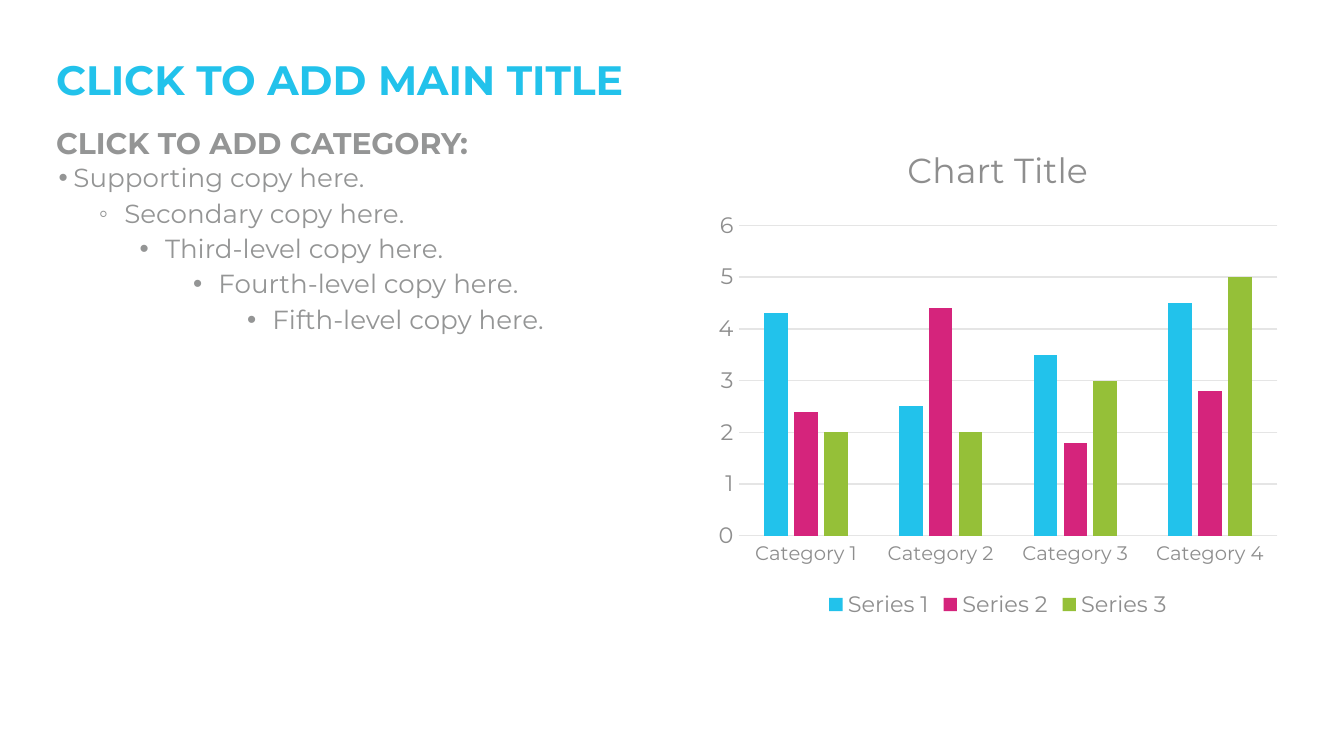
from lxml.etree import SubElement
from pptx import Presentation
from pptx.chart.data import CategoryChartData
from pptx.dml.color import RGBColor
from pptx.enum.chart import XL_CHART_TYPE, XL_LEGEND_POSITION, XL_TICK_MARK
from pptx.enum.text import MSO_ANCHOR
from pptx.oxml.ns import qn
from pptx.util import Cm, Pt

CYAN = RGBColor(0x22, 0xC2, 0xEB)
MAGENTA = RGBColor(0xD5, 0x24, 0x7C)
GREEN = RGBColor(0x95, 0xC0, 0x38)
COPY_GREY = RGBColor(0x94, 0x95, 0x95)
LABEL_GREY = RGBColor(0x8E, 0x8E, 0x8E)
GRID_GREY = RGBColor(0xE5, 0xE5, 0xE5)
FONT = "Montserrat"

COPY_LEVELS = [
    ("Supporting copy here.", "•", 0.28, -0.28),
    ("Secondary copy here.", "◦", 1.24, -0.48),
    ("Third-level copy here.", "•", 2.01, -0.48),
    ("Fourth-level copy here.", "•", 3.02, -0.48),
    ("Fifth-level copy here.", "•", 4.04, -0.48),
]
CATEGORIES = ["Category 1", "Category 2", "Category 3", "Category 4"]
SERIES = [
    ("Series 1", (4.3, 2.5, 3.5, 4.5), CYAN),
    ("Series 2", (2.4, 4.4, 1.8, 2.8), MAGENTA),
    ("Series 3", (2, 2, 3, 5), GREEN),
]


def apply_format(target, values):
    """Set each named attribute of the target."""
    for name, value in values.items():
        setattr(target, name, value)


def style_font(font, size, color, bold=False):
    """Give a font the slide's typeface with a size, colour and weight."""
    apply_format(font, {"name": FONT, "size": Pt(size), "bold": bold})
    font.color.rgb = color


def style_line(line, color):
    """Draw a thin line in the given colour."""
    line.color.rgb = color
    line.width = Pt(0.75)


def add_text_frame(slide, box):
    """Add a wrapping, top-anchored text box and return its frame."""
    frame = slide.shapes.add_textbox(*map(Cm, box)).text_frame
    apply_format(frame, {"word_wrap": True, "vertical_anchor": MSO_ANCHOR.TOP})
    return frame


def write_paragraph(paragraph, text, size, color, bold=False):
    """Fill a paragraph with one styled run."""
    paragraph.line_spacing = 0.9
    run = paragraph.add_run()
    run.text = text
    style_font(run.font, size, color, bold)


def add_bullet(paragraph, mark, margin, indent):
    """Give a paragraph a coloured bullet and a hanging indent."""
    properties = paragraph._p.get_or_add_pPr()
    properties.set("marL", str(Cm(margin)))
    properties.set("indent", str(Cm(indent)))
    bullet_color = SubElement(properties, qn("a:buClr"))
    SubElement(bullet_color, qn("a:srgbClr"), val=str(COPY_GREY))
    SubElement(properties, qn("a:buFont"), typeface="Arial")
    SubElement(properties, qn("a:buChar"), char=mark)


def add_heading(slide, box, text, size, color):
    """Place a bold heading in its box."""
    frame = add_text_frame(slide, box)
    write_paragraph(frame.paragraphs[0], text, size, color, bold=True)


def add_copy(slide, box):
    """Place the five levels of supporting copy in their box."""
    frame = add_text_frame(slide, box)
    for level, (text, mark, margin, indent) in enumerate(COPY_LEVELS):
        paragraph = frame.add_paragraph() if level else frame.paragraphs[0]
        apply_format(paragraph, {"level": level, "space_before": Pt(3.8 if level else 0)})
        write_paragraph(paragraph, text, 14, COPY_GREY)
        add_bullet(paragraph, mark, margin, indent)


def add_column_chart(slide, box):
    """Place the clustered column chart in its box."""
    data = CategoryChartData()
    data.categories = CATEGORIES
    for name, values, _ in SERIES:
        data.add_series(name, values)
    chart = slide.shapes.add_chart(
        XL_CHART_TYPE.COLUMN_CLUSTERED, *map(Cm, box), data
    ).chart
    style_font(chart.font, 12, LABEL_GREY)

    apply_format(chart, {"has_title": True, "has_legend": True})
    title = chart.chart_title.text_frame
    title.text = "Chart Title"
    style_font(title.paragraphs[0].runs[0].font, 18.6, LABEL_GREY)
    apply_format(
        chart.legend,
        {"position": XL_LEGEND_POSITION.BOTTOM, "include_in_layout": False},
    )
    style_font(chart.legend.font, 12, LABEL_GREY)

    for axis, size in ((chart.category_axis, 10.5), (chart.value_axis, 12)):
        apply_format(
            axis,
            {"major_tick_mark": XL_TICK_MARK.NONE, "minor_tick_mark": XL_TICK_MARK.NONE},
        )
        style_font(axis.tick_labels.font, size, LABEL_GREY)
    style_line(chart.category_axis.format.line, GRID_GREY)
    apply_format(
        chart.value_axis,
        {"minimum_scale": 0, "maximum_scale": 6, "major_unit": 1, "has_major_gridlines": True},
    )
    chart.value_axis.format.line.fill.background()
    style_line(chart.value_axis.major_gridlines.format.line, GRID_GREY)

    plot = chart.plots[0]
    apply_format(plot, {"gap_width": 219, "overlap": -27, "vary_by_categories": False})
    for series, (_, _, color) in zip(plot.series, SERIES):
        series.format.fill.solid()
        series.format.fill.fore_color.rgb = color


def main():
    """Build and save the slide."""
    presentation = Presentation()
    apply_format(presentation, {"slide_width": Cm(25.4), "slide_height": Cm(14.29)})
    slide = presentation.slides.add_slide(presentation.slide_layouts[6])
    add_heading(slide, (0.81, 1.02, 23.52, 0.94), "CLICK TO ADD MAIN TITLE", 22, CYAN)
    add_heading(slide, (0.81, 2.31, 12.07, 0.69), "CLICK TO ADD CATEGORY:", 16, COPY_GREY)
    add_copy(slide, (0.86, 3, 12.07, 4.14))
    add_column_chart(slide, (13.36, 2.31, 11, 9.47))
    presentation.save("out.pptx")


if __name__ == "__main__":
    main()
